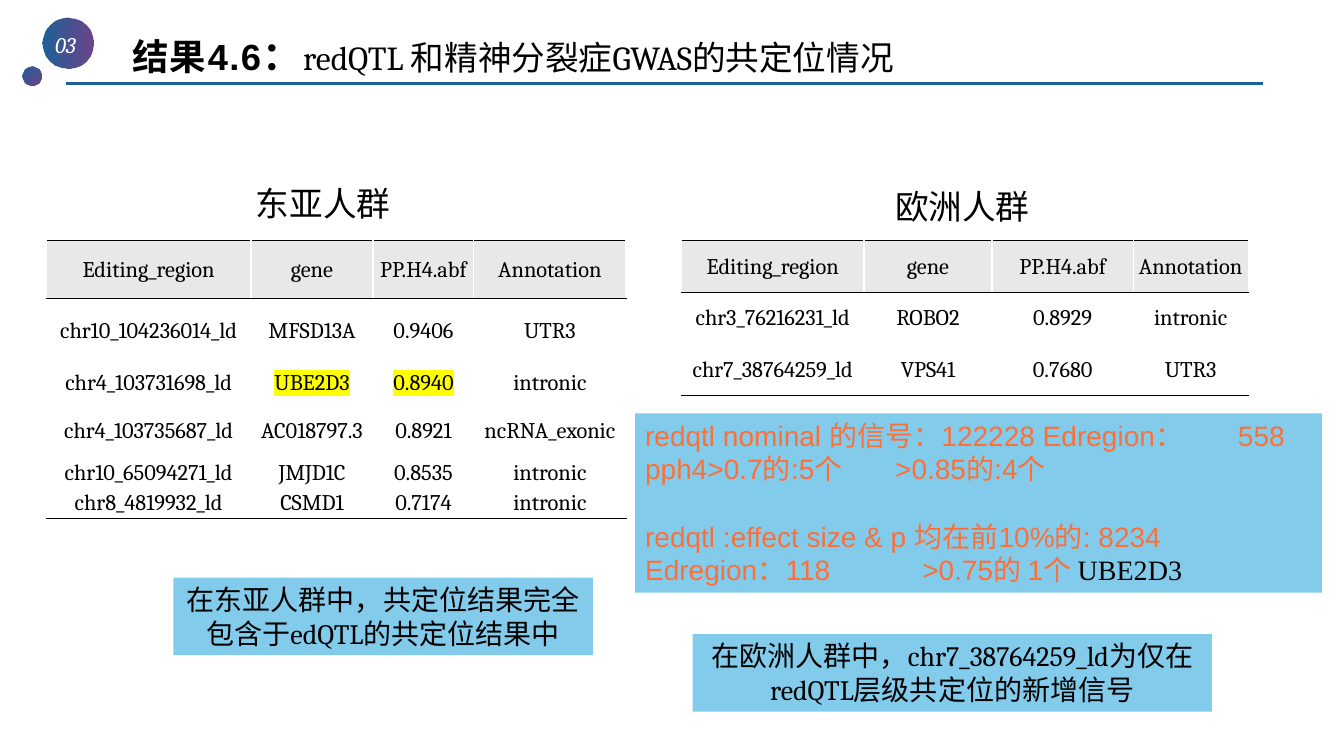
from dataclasses import dataclass

from lxml.etree import SubElement
from pptx import Presentation
from pptx.dml.color import RGBColor
from pptx.enum.shapes import MSO_CONNECTOR, MSO_SHAPE
from pptx.enum.text import MSO_ANCHOR, MSO_AUTO_SIZE as FIT, PP_ALIGN
from pptx.oxml import parse_xml
from pptx.oxml.ns import nsdecls, qn
from pptx.util import Inches, Pt


@dataclass(frozen=True)
class Theme:
    blue: str = "1C6299"
    purple: str = "5C307D"
    sky: str = "83CBEB"
    orange: str = "FC7038"
    grey: str = "E8E8E8"
    yellow: str = "FFFF00"
    black: str = "000000"
    white: str = "FFFFFF"
    serif: str = "Cambria"
    sans: str = "Arial"
    roman: str = "Times New Roman"
    cjk: str = "Noto Sans CJK SC"
    title: int = 26
    heading: int = 24
    note: int = 20
    small: int = 16


class SlideBuilder:
    def __init__(self, slide, theme):
        self.slide, self.theme = slide, theme

    def style(self, r, size, font, color=None, bold=False, italic=False):
        f = r.font
        f.size, f.bold, f.italic = Pt(size), bold, italic
        f.color.rgb = RGBColor.from_string(color or self.theme.black)
        f.name = font
        SubElement(r._r.get_or_add_rPr(), qn("a:ea"), typeface=self.theme.cjk)

    def add_run(self, p, text, *args, **kwargs):
        r = p.add_run()
        r.text = text
        self.style(r, *args, **kwargs)
        return r

    def title(self, parts, *box):
        s = self.slide.shapes.title
        s.left, s.top, s.width, s.height = map(Inches, box)
        tf = s.text_frame
        tf.auto_size, tf.vertical_anchor = FIT.NONE, MSO_ANCHOR.BOTTOM
        tf.margin_left = 0
        p = tf.paragraphs[0]
        p.alignment, p.line_spacing = PP_ALIGN.LEFT, 0.9
        for text, size, font, bold in parts:
            r = self.add_run(p, text, size, font, bold=bold)
            if bold:
                r._r.get_or_add_rPr().set("spc", "100")

    def text(self, text, size, font, *box, color=None, italic=False,
             align=PP_ALIGN.LEFT, parent=None):
        s = (parent or self.slide).shapes.add_textbox(*map(Inches, box))
        tf = s.text_frame
        tf.word_wrap, tf.auto_size = True, FIT.SHAPE_TO_FIT_TEXT
        p = tf.paragraphs[0]
        p.alignment = align
        self.add_run(p, text, size, font, color, italic=italic)

    def dot(self, group, angle, *box):
        s = group.shapes.add_shape(MSO_SHAPE.OVAL, *map(Inches, box))
        s.shadow.inherit = False
        s.line.fill.background()
        s.fill.gradient()
        s.fill.gradient_angle = angle
        stops = s.fill.gradient_stops
        for stop, pos, color in zip(stops, (0, 1), (self.theme.blue, self.theme.purple)):
            stop.position = pos
            stop.color.rgb = RGBColor.from_string(color)
        end_color = s._element.spPr.findall(".//" + qn("a:srgbClr"))[-1]
        SubElement(end_color, qn("a:alpha"), val="90000")

    def rule(self, x1, x2, y):
        s = self.slide.shapes.add_connector(
            MSO_CONNECTOR.STRAIGHT, Inches(x1), Inches(y), Inches(x2), Inches(y))
        s.line.color.rgb = RGBColor.from_string(self.theme.blue)
        s.line.width = Pt(1.75)
        SubElement(s._element.spPr, qn("a:effectLst"))

    def note(self, paragraphs, *box, align=PP_ALIGN.CENTER, gaps=(), tabs=()):
        """Each paragraph is a list of (text, font, colour) runs."""
        s = self.slide.shapes.add_shape(MSO_SHAPE.RECTANGLE, *map(Inches, box))
        s.shadow.inherit = False
        s.fill.solid()
        s.fill.fore_color.rgb = RGBColor.from_string(self.theme.sky)
        s.line.fill.background()
        tf = s.text_frame
        tf.word_wrap, tf.auto_size = True, FIT.SHAPE_TO_FIT_TEXT
        tf.vertical_anchor = MSO_ANCHOR.TOP
        for i, runs in enumerate(paragraphs):
            p = tf.paragraphs[0] if i == 0 else tf.add_paragraph()
            p.alignment = align
            if i in gaps:
                p.space_before = Pt(24)
            if i < len(tabs):
                tab_list = SubElement(p._p.get_or_add_pPr(), qn("a:tabLst"))
                for pos in tabs[i]:
                    SubElement(tab_list, qn("a:tab"), pos=str(Inches(pos)), algn="l")
            for text, font, color in runs:
                self.add_run(p, text, self.theme.note, font, color)

    def borders(self, cell, **sides):
        tcPr = cell._tc.get_or_add_tcPr()
        for i, side in enumerate("LRTB"):
            color = sides.get(side, self.theme.white)
            width = Pt(1 if color == self.theme.white else 0.75)
            tcPr.insert(i, parse_xml(
                f'<a:ln{side} {nsdecls("a")} w="{width}"><a:solidFill>'
                f'<a:srgbClr val="{color}"/></a:solidFill></a:ln{side}>'))

    def table(self, rows, left, top, widths, heights, marked=()):
        t = self.theme
        table = self.slide.shapes.add_table(
            len(rows), len(widths), Inches(left), Inches(top),
            Inches(sum(widths)), Inches(sum(heights))).table
        table.first_row = table.horz_banding = False
        for col, width in zip(table.columns, widths):
            col.width = Inches(width)
        for i, values in enumerate(rows):
            table.rows[i].height = Inches(heights[i])
            for j, value in enumerate(values):
                cell = table.cell(i, j)
                cell.margin_left = cell.margin_right = cell.margin_top = Inches(0.01)
                cell.margin_bottom = 0
                cell.vertical_anchor = MSO_ANCHOR.MIDDLE
                if i == 0:
                    cell.fill.solid()
                    cell.fill.fore_color.rgb = RGBColor.from_string(t.grey)
                else:
                    cell.fill.background()
                self.borders(cell, T=t.black if i < 2 else t.white,
                             B=t.black if i in (0, len(rows) - 1) else t.white)
                p = cell.text_frame.paragraphs[0]
                p.alignment = PP_ALIGN.CENTER
                r = self.add_run(p, value, t.small, t.serif)
                if value in marked:
                    r._r.rPr.find(qn("a:latin")).addprevious(parse_xml(
                        f'<a:highlight {nsdecls("a")}><a:srgbClr val="{t.yellow}"/>'
                        '</a:highlight>'))


def main():
    prs = Presentation()
    prs.slide_width, prs.slide_height = Inches(13.33), Inches(7.5)
    t = Theme()
    b = SlideBuilder(prs.slides.add_slide(prs.slide_layouts[5]), t)

    # Result tables
    header = ("Editing_region", "gene", "PP.H4.abf", "Annotation")
    east_asian = [
        header,
        ("chr10_104236014_ld", "MFSD13A", "0.9406", "UTR3"),
        ("chr4_103731698_ld", "UBE2D3", "0.8940", "intronic"),
        ("chr4_103735687_ld", "AC018797.3", "0.8921", "ncRNA_exonic"),
        ("chr10_65094271_ld", "JMJD1C", "0.8535", "intronic"),
        ("chr8_4819932_ld", "CSMD1", "0.7174", "intronic"),
    ]
    european = [
        header,
        ("chr3_76216231_ld", "ROBO2", "0.8929", "intronic"),
        ("chr7_38764259_ld", "VPS41", "0.7680", "UTR3"),
    ]
    b.table(east_asian, 0.46, 2.39, (2.03, 1.21, 1, 1.51),
            (0.57, 0.64, 0.39, 0.56, 0.29, 0.3), marked=("UBE2D3", "0.8940"))
    b.table(european, 6.76, 2.39, (1.81, 1.27, 1.4, 1.14), (0.51,) * 3)

    # Section badge and title
    b.rule(0.65, 12.53, 0.83)
    badge = b.slide.shapes.add_group_shape()
    b.dot(badge, 0, 0.42, 0.17, 0.51, 0.51)
    b.text("03", t.small, t.serif, 0.28, 0.26, 0.74, 0.37, color=t.white,
           italic=True, align=PP_ALIGN.CENTER, parent=badge)
    b.dot(badge, 310, 0.22, 0.66, 0.19, 0.19)
    b.title([("结果4.6", t.title, t.sans, True),
             ("：", 28, t.serif, True),
             ("redQTL 和精神分裂症GWAS的共定位情况", t.heading, t.serif, False)],
            1.31, 0, 11.8, 0.83)

    # Population headings
    b.text("东亚人群", t.heading, t.cjk, 2.44, 1.77, 1.76, 0.5)
    b.text("欧洲人群", t.heading, t.cjk, 8.78, 1.8, 2.26, 0.5)

    # Conclusions
    b.note([[("在欧洲人群中，chr7_38764259_ld为仅在redQTL层级共定位的新增信号",
              t.serif, t.black)]], 6.87, 6.29, 5.15, 0.77)
    b.note([[("在东亚人群中，共定位结果完全包含于edQTL的共定位结果中",
              t.serif, t.black)]], 1.72, 5.73, 4.16, 0.77)

    # Signal counts
    b.note([
        [("redqtl nominal 的信号：122228 Edregion：\t558 pph4>0.7的:5个\t>0.85的:4个",
          t.sans, t.orange)],
        [("redqtl :effect size & p 均在前10%的: 8234", t.sans, t.orange)],
        [("Edregion：118\t>0.75的 1个 ", t.sans, t.orange),
         ("UBE2D3", t.roman, t.black)],
    ], 6.3, 4.1, 6.81, 1.78, align=PP_ALIGN.LEFT, gaps=(1,),
        tabs=((2.48, 5.88), (), (2.75,)))

    prs.save("out.pptx")


if __name__ == "__main__":
    main()
